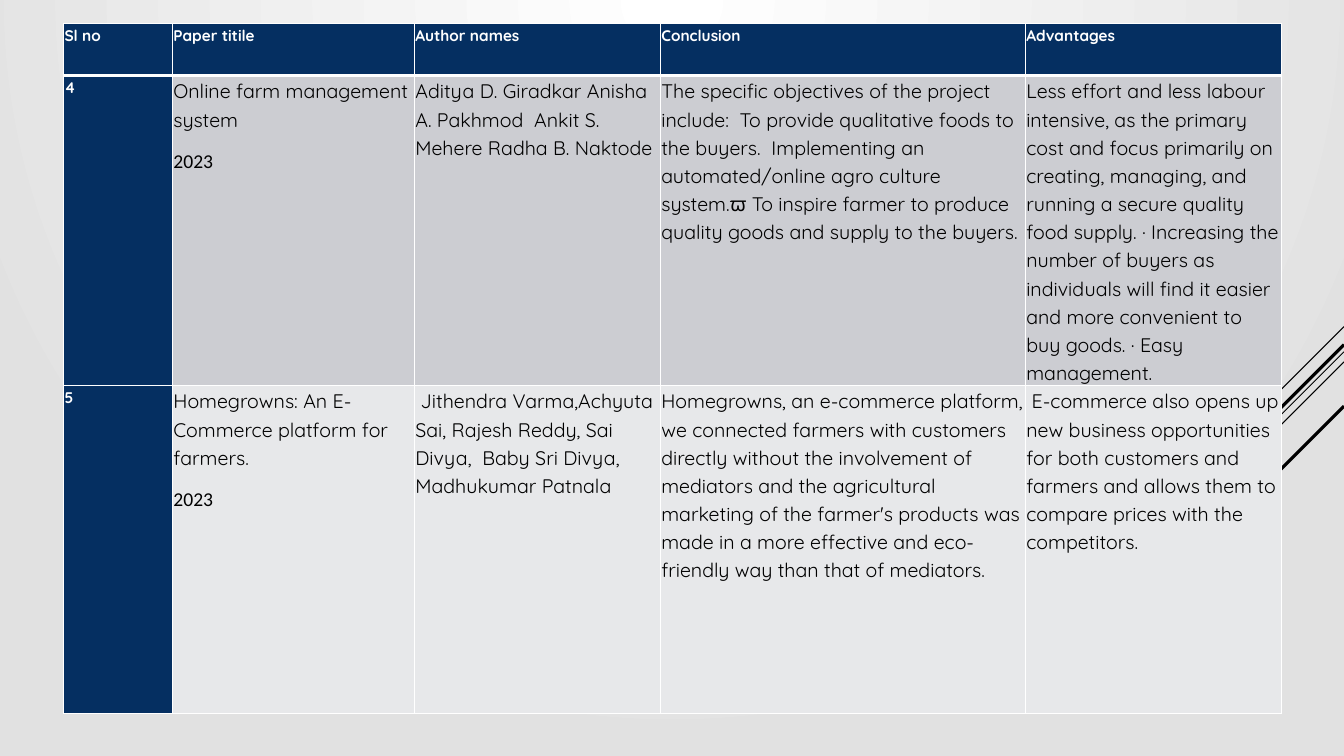
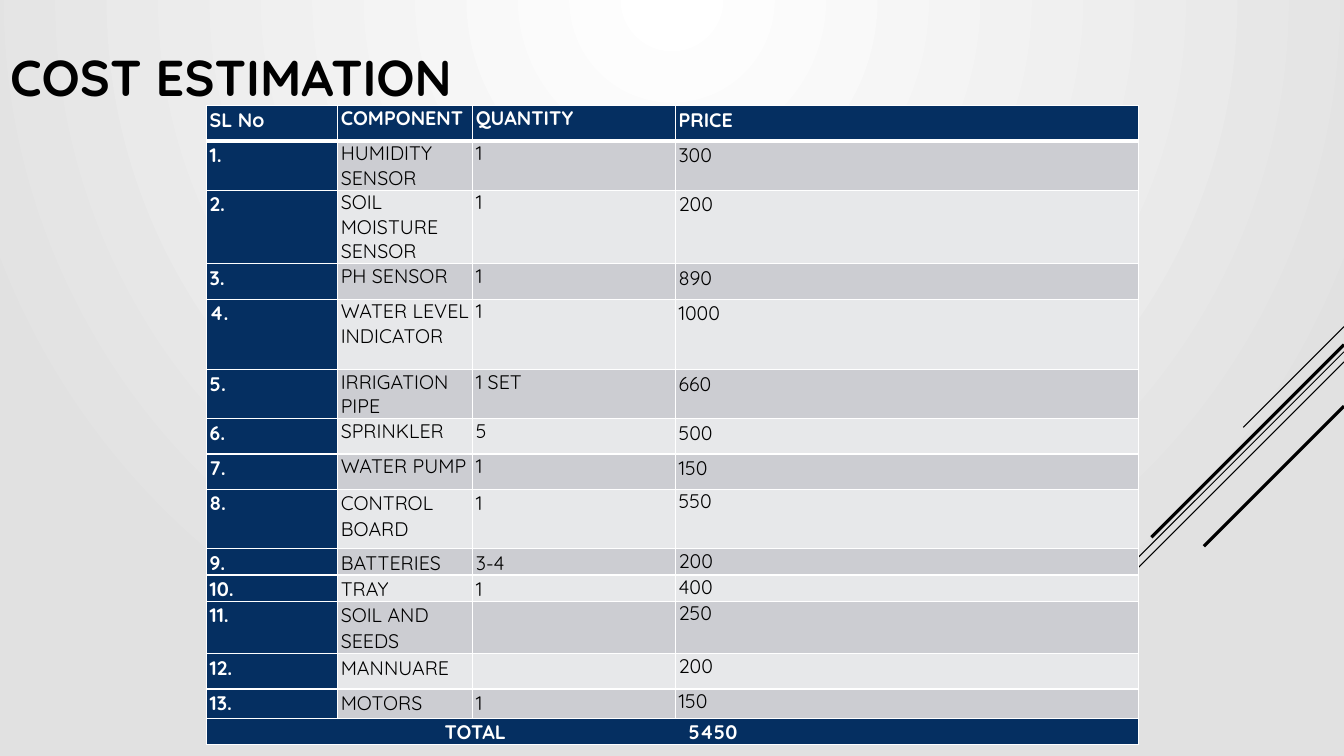
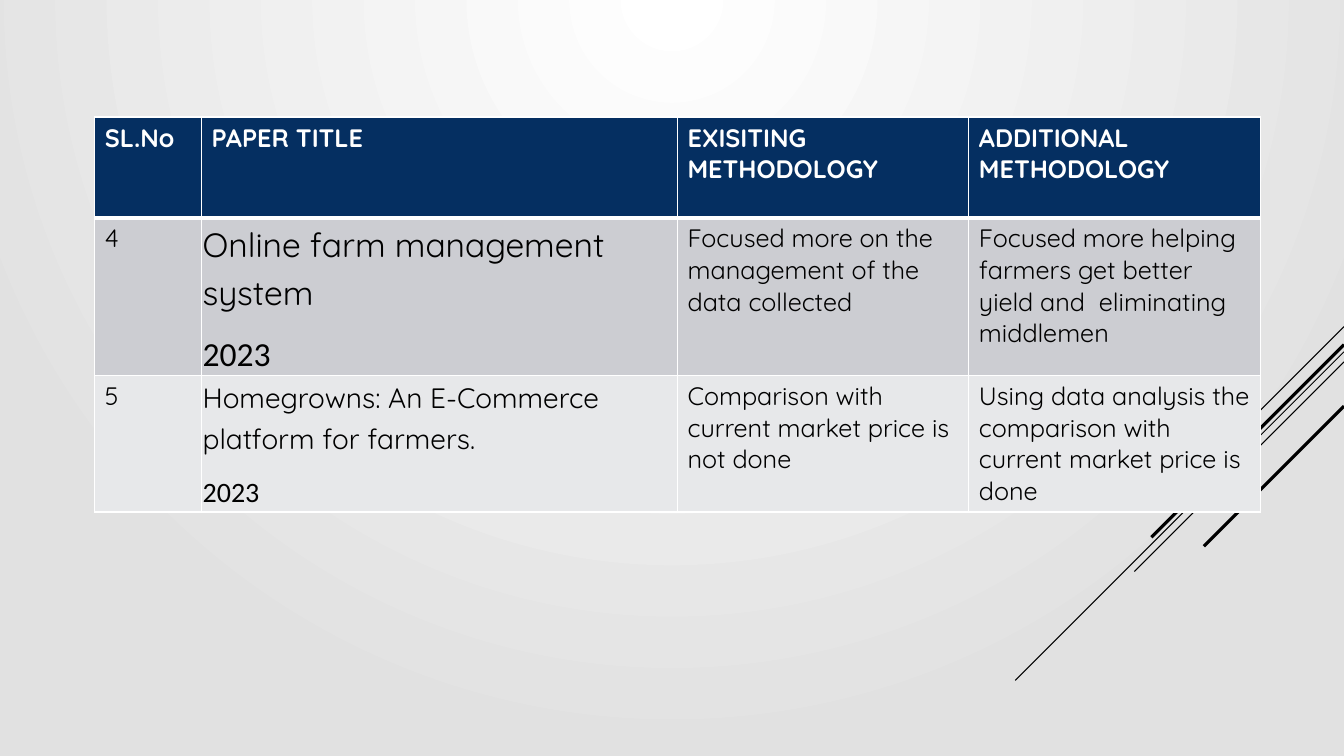
from dataclasses import dataclass
from lxml.etree import SubElement as Sub
from pptx import Presentation
from pptx.dml.color import RGBColor as RGB
from pptx.enum.shapes import MSO_CONNECTOR as Conn
from pptx.enum.text import MSO_ANCHOR as Anchor, PP_ALIGN as Align
from pptx.oxml.ns import qn
from pptx.util import Inches, Pt


@dataclass(frozen=True)
class Theme:
    navy: str = "052F61"
    dark: str = "CCCDD2"
    light: str = "E7E8EA"
    white: str = "FFFFFF"
    gray: str = "E1E1E1"
    black: str = "000000"
    font: str = "Quicksand"
    alt: str = "Calibri"
    title: int = 36
    label: int = 11
    body: int = 14
    large: int = 18
    paper: tuple = (24, 20)
    thin: float = 1
    thick: float = 3


T = Theme()

RAYS = [(3.24, 1, 0.75), (3.49, 3.26, 0.75), (3.59, 2.08, 0.75),
        (3.42, 1.91, 2.25), (4.03, 1.39, 2.25)]

FARM = ("Online farm management system", "2023")
HOME = ("Homegrowns: An E-Commerce platform for farmers.", "2023")

SURVEY = [
    ["Sl no", "Paper titile", "Author names", "Conclusion", "Advantages"],
    ["4", FARM,
     "Aditya D. Giradkar Anisha A. Pakhmod  Ankit S. Mehere Radha B. Naktode",
     "The specific objectives of the project include:  To provide qualitative "
     "foods to the buyers.  Implementing an automated/online agro culture "
     "system.ϖ To inspire farmer to produce quality goods and supply to the "
     "buyers.",
     "Less effort and less labour intensive, as the primary cost and focus "
     "primarily on creating, managing, and running a secure quality food "
     "supply. · Increasing the number of buyers as individuals will find it "
     "easier and more convenient to buy goods. · Easy management."],
    ["5", HOME,
     " Jithendra Varma,Achyuta Sai, Rajesh Reddy, Sai Divya,  Baby Sri Divya, "
     "Madhukumar Patnala",
     "Homegrowns, an e-commerce platform, we connected farmers with customers "
     "directly without the involvement of mediators and the agricultural "
     "marketing of the farmer's products was made in a more effective and "
     "eco-friendly way than that of mediators.",
     " E-commerce also opens up new business opportunities for both customers "
     "and farmers and allows them to compare prices with the competitors."],
]

PARTS = [
    ("HUMIDITY SENSOR", "1", "300"),
    ("SOIL MOISTURE SENSOR", "1", "200"),
    ("PH SENSOR", "1", "890"),
    ("WATER LEVEL INDICATOR", "1", "1000"),
    ("IRRIGATION PIPE", "1 SET", "660"),
    ("SPRINKLER", "5", "500"),
    ("WATER PUMP", "1", "150"),
    ("CONTROL BOARD", "1", "550"),
    ("BATTERIES", "3-4", "200"),
    ("TRAY", "1", "400"),
    ("SOIL AND SEEDS", "", "250"),
    ("MANNUARE", "", "200"),
    ("MOTORS", "1", "150"),
]
COSTS = [["SL No", "COMPONENT", "QUANTITY", "PRICE"],
         *[[f"{n}.", *part] for n, part in enumerate(PARTS, 1)],
         ["\tTOTAL\t5450", "", "", ""]]

METHODS = [
    ["SL.No", "PAPER TITLE", "EXISITING METHODOLOGY",
     "ADDITIONAL METHODOLOGY"],
    ["4", FARM, "Focused more on the management of the data collected",
     "Focused more helping farmers get better yield and  eliminating "
     "middlemen"],
    ["5", HOME, "Comparison with current market price is not done",
     "Using data analysis the comparison with current market price is done"],
]


def survey_look(r, c):
    size = T.body if r and c else T.label
    return size, (0.01, 0), 1.15, 10


def cost_look(r, c):
    loose = c in (0, 3) if r < 8 else c < 3
    return T.body, (0.03, 0), *((1.07, 8) if loose else (None, None))


def method_look(r, c):
    if r and c == 1:
        return T.paper[r - 1], (0.01, 0), 1.15, 10
    return T.large, (0.1, 0.05), None, None


def style(run, size, color, bold, name=T.font):
    font = run.font
    font.name, font.size, font.bold = name, Pt(size), bold
    font.color.rgb = RGB.from_string(color)


def edge(cell, r):
    props = cell._tc.get_or_add_tcPr()
    for side in "LRTB":
        heavy = (r, side) in ((0, "B"), (1, "T"))
        line = Sub(props, qn(f"a:ln{side}"),
                   w=str(Pt(T.thick if heavy else T.thin)))
        Sub(Sub(line, qn("a:solidFill")), qn("a:srgbClr"), val=T.white)


def write(cell, text, look, color, bold):
    size, (x, y), gap, after = look
    cell.margin_left = cell.margin_right = Inches(x)
    cell.margin_top = cell.margin_bottom = Inches(y)
    frame = cell.text_frame
    lines = text if isinstance(text, tuple) else (text,)
    for i, line in enumerate(lines):
        para = frame.add_paragraph() if i else frame.paragraphs[0]
        if gap:
            para.line_spacing, para.space_after = gap, Pt(after)
        if line:
            run = para.add_run()
            run.text = line
            style(run, size, color, bold, T.alt if i else T.font)


def add_grid(slide, at, cols, rows, data, look, side=True):
    box = [Inches(v) for v in (*at, sum(cols), sum(rows))]
    grid = slide.shapes.add_table(len(rows), len(cols), *box).table
    for col, wide in zip(grid.columns, cols):
        col.width = Inches(wide)
    for row, high in zip(grid.rows, rows):
        row.height = Inches(high)
    for r, texts in enumerate(data):
        for c, text in enumerate(texts):
            cell = grid.cell(r, c)
            head = r == 0 or side and c == 0
            edge(cell, r)
            cell.fill.solid()
            cell.fill.fore_color.rgb = RGB.from_string(
                T.navy if head else T.dark if r % 2 else T.light)
            write(cell, text, look(r, c), T.white if head else T.black, head)
    return grid


def set_tabs(para, stops):
    tabs = Sub(para._p.get_or_add_pPr(), qn("a:tabLst"))
    for stop in stops:
        Sub(tabs, qn("a:tab"), pos=str(Inches(stop)), algn="l")


def dress(master, slide):
    fill = master.background.fill
    fill.gradient()
    for stop, color in zip(fill.gradient_stops, (T.white, T.gray)):
        stop.color.rgb = RGB.from_string(color)
    grad = master.element.find(".//" + qn("p:bgPr") + "/" + qn("a:gradFill"))
    grad.remove(grad.find(qn("a:lin")))
    Sub(Sub(grad, qn("a:path"), path="circle"), qn("a:fillToRect"), b="100000")
    for top, run, width in RAYS:
        ray = slide.shapes.add_connector(
            Conn.STRAIGHT, Inches(13.33), Inches(top),
            Inches(13.33 - run), Inches(top + run))
        ray.line.color.rgb = RGB.from_string(T.black)
        ray.line.width = Pt(width)
        Sub(ray.element.spPr, qn("a:effectLst"))
        master.shapes.element.append(ray.element)


def add_title(slide, text):
    title = slide.shapes.title
    title.left, title.top = Inches(0), Inches(-0.07)
    title.width, title.height = Inches(9.33), Inches(1.65)
    title.text_frame.vertical_anchor = Anchor.MIDDLE
    para = title.text_frame.paragraphs[0]
    para.alignment = Align.LEFT
    run = para.add_run()
    run.text = text
    style(run, T.title, T.black, True)


def main():
    prs = Presentation()
    prs.slide_width, prs.slide_height = Inches(13.33), Inches(7.5)
    bare, titled = prs.slide_layouts[6], prs.slide_layouts[5]

    survey = prs.slides.add_slide(bare)
    dress(prs.slide_master, survey)
    add_grid(survey, (0.63, 0.23), (1.08, 2.4, 2.44, 3.62, 2.54),
             (0.52, 2.48, 3.25), SURVEY, survey_look)

    cost = prs.slides.add_slide(titled)
    add_title(cost, "COST ESTIMATION")
    grid = add_grid(cost, (2.05, 1.05), (1.3, 1.34, 2.01, 4.59),
                    (0.35, 0.47, 0.59, 0.35, 0.7, 0.47, 0.35, 0.35, 0.59,
                     0.23, 0.26, 0.47, 0.35, 0.29, 0.26), COSTS, cost_look)
    last = len(COSTS) - 1
    total = grid.cell(last, 0)
    total.merge(grid.cell(last, 3))
    set_tabs(total.text_frame.paragraphs[0], (2.33, 4.75))

    method = prs.slides.add_slide(bare)
    add_grid(method, (0.94, 1.16), (1.06, 4.72, 2.89, 2.89), (1, 1.02, 1),
             METHODS, method_look, side=False)
    prs.save("out.pptx")


if __name__ == "__main__":
    main()
